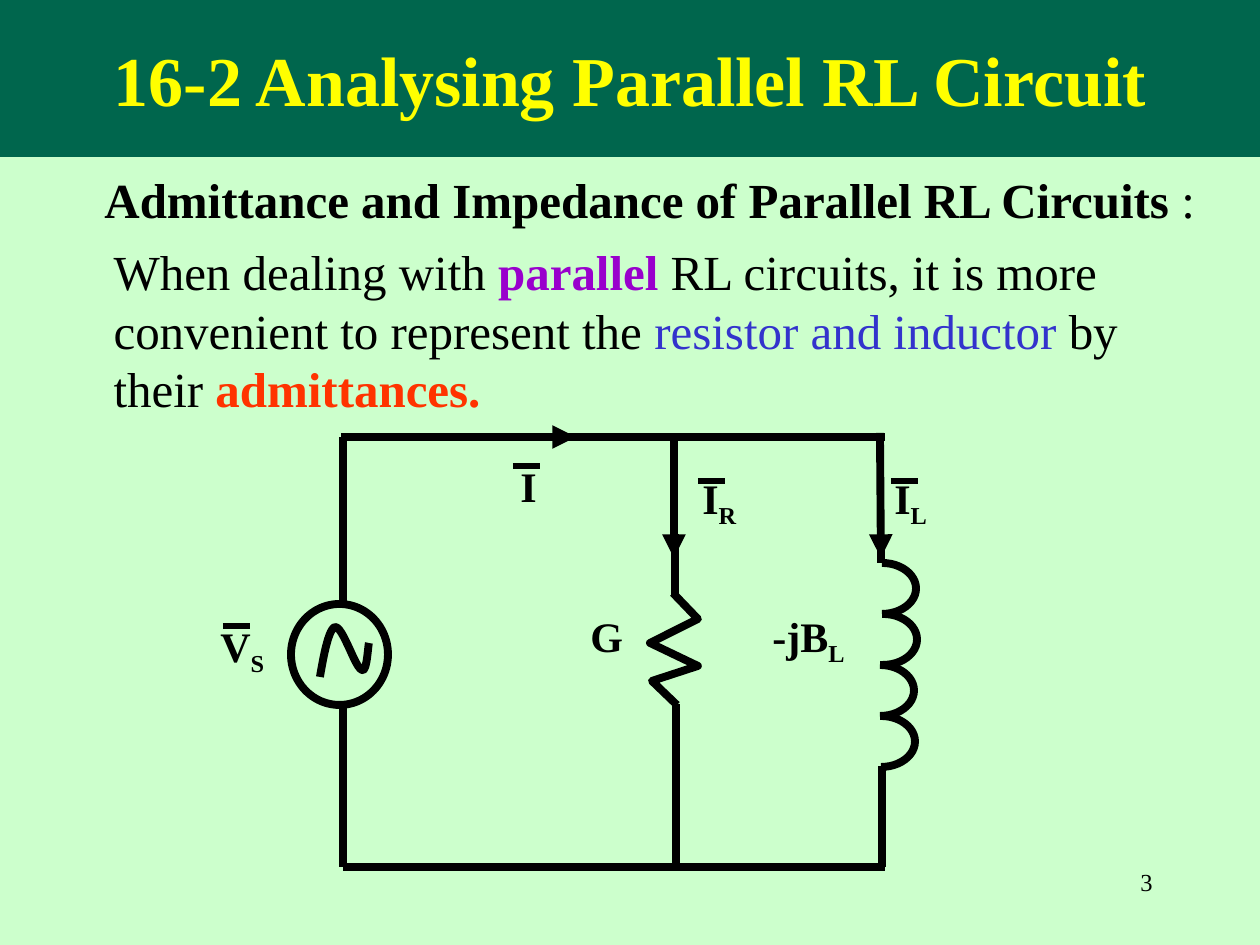
from lxml import etree
from pptx import Presentation
from pptx import util as u
from pptx.dml.color import RGBColor
from pptx.enum import shapes, text
from pptx.oxml.ns import qn

SCALE = u.Inches(1) / 126  # EMU per px
BLACK = RGBColor(0x00, 0x00, 0x00)
GREEN = RGBColor(0x00, 0x66, 0x4D)
MINT = RGBColor(0xCC, 0xFF, 0xCC)
YELLOW = RGBColor(0xFF, 0xFF, 0x00)
PURPLE = RGBColor(0x99, 0x00, 0xCC)
BLUE = RGBColor(0x33, 0x33, 0xCC)
RED = RGBColor(0xFF, 0x33, 0x00)


def px(*lengths):
    return [u.Emu(round(length * SCALE)) for length in lengths]


def add_run(paragraph, words, size, color=BLACK, bold=False):
    run = paragraph.add_run()
    run.text = words
    run.font.name = "Times New Roman"
    run.font.size = u.Pt(size)
    run.font.bold = bold
    run.font.color.rgb = color
    return run


presentation = Presentation()
presentation.slide_width, presentation.slide_height = px(1260, 945)
slide = presentation.slides.add_slide(presentation.slide_layouts[1])
slide.background.fill.solid()
slide.background.fill.fore_color.rgb = MINT

# Title band
title = slide.shapes.title
title.left, title.top, title.width, title.height = px(0, 0, 1260, 157)
title.fill.solid()
title.fill.fore_color.rgb = GREEN
title.text_frame.vertical_anchor = text.MSO_ANCHOR.MIDDLE
paragraph = title.text_frame.paragraphs[0]
paragraph.alignment = text.PP_ALIGN.CENTER
add_run(paragraph, "16-2 Analysing Parallel RL Circuit", 40, YELLOW, True)

# Body text
body = slide.placeholders[1]
body.left, body.top, body.width, body.height = px(101, 235, 1118, 190)
body.text_frame.auto_size = text.MSO_AUTO_SIZE.NONE
paragraph = body.text_frame.paragraphs[0]
properties = paragraph._p.get_or_add_pPr()
properties.set("marL", "0")
properties.set("indent", "0")
etree.SubElement(properties, qn("a:buNone"))
paragraph.space_before = u.Pt(0)
for words, color, bold in [
    ("When dealing with ", BLACK, False),
    ("parallel", PURPLE, True),
    (" RL circuits, it is more convenient to represent the ", BLACK, False),
    ("resistor and inductor", BLUE, False),
    (" by their ", BLACK, False),
    ("admittances.", RED, True),
]:
    add_run(paragraph, words, 28, color, bold)

# Subheading
subheading = slide.shapes.add_textbox(*px(92, 163, 1128, 72))
subheading.text_frame.word_wrap = False
subheading.text_frame.vertical_anchor = text.MSO_ANCHOR.MIDDLE
paragraph = subheading.text_frame.paragraphs[0]
add_run(paragraph, "Admittance and Impedance of Parallel RL Circuits ", 28, bold=True)
add_run(paragraph, ":", 28)

# Wires, arrows and the bars over the phasors: start, end, width, arrowhead
WIRE, BAR = 4.5, 3
bars = [(223, 626), (513, 466), (698, 481), (891, 481)]
lines = [
    (343, 604, 343, 437, WIRE, False),
    (343, 704, 343, 867, WIRE, False),
    (341, 437, 576, 437, WIRE, True),
    (548, 437, 885, 437, WIRE, False),
    (343, 867, 885, 867, WIRE, False),
    (674, 437, 674, 558, WIRE, True),
    (675, 534, 675, 596, WIRE, False),
    (676, 704, 676, 867, WIRE, False),
    (880, 433, 881, 558, WIRE, True),
    (881, 537, 881, 563, WIRE, False),
    (882, 766, 882, 867, WIRE, False),
] + [(x, y, x + 27, y, BAR, False) for x, y in bars]
for x1, y1, x2, y2, width, arrow in lines:
    line = slide.shapes.add_connector(shapes.MSO_CONNECTOR.STRAIGHT, *px(x1, y1, x2, y2))
    line.line.color.rgb = BLACK
    line.line.width = u.Pt(width)
    if arrow:
        etree.SubElement(line.line._get_or_add_ln(), qn("a:tailEnd"), type="triangle")
    etree.SubElement(line._element.spPr, qn("a:effectLst"))

# Voltage source circle
symbols = [slide.shapes.add_shape(shapes.MSO_SHAPE.OVAL, *px(291, 604, 97, 101))]

# Inductor: four half turns, one under the other
for turn, x in enumerate([882, 883, 880, 881]):
    arc = slide.shapes.add_shape(shapes.MSO_SHAPE.ARC, *px(x - 34, 563 + 51 * turn, 68, 51))
    arc.adjustments[0] = 162  # from the top
    arc.adjustments[1] = 54  # to the bottom
    symbols.append(arc)

# Sine sign, sampled from three Bezier curves, and resistor zigzag
curves = [
    [(320, 677), (324, 653), (329, 629), (335, 627)],
    [(335, 627), (343, 626), (355, 668), (362, 670)],
    [(362, 670), (367, 673), (368, 646), (369, 643)],
]
sine = []
for a, b, c, d in curves:
    for step in range(13):
        t = step / 12
        weights = [(1 - t) ** 3, 3 * t * (1 - t) ** 2, 3 * t * t * (1 - t), t ** 3]
        sine.append([sum(w * p[i] for w, p in zip(weights, (a, b, c, d))) for i in (0, 1)])
zigzag = [(673, 593), (698, 619), (650, 643), (698, 666), (652, 681), (677, 705)]
for points in (sine, zigzag):
    builder = slide.shapes.build_freeform(*px(*points[0]), scale=1.0)
    builder.add_line_segments([px(*point) for point in points[1:]], close=False)
    symbols.append(builder.convert_to_shape())

for shape in symbols:
    shape.shadow.inherit = False
    shape.fill.background()
    shape.line.color.rgb = BLACK
    shape.line.width = u.Pt(WIRE)

# Circuit labels with subscripts
for x, y, width, symbol, subscript in [
    (760, 604, 122, "-jB", "L"),
    (578, 604, 74, "G", ""),
    (690, 466, 71, "I", "R"),
    (882, 466, 71, "I", "L"),
    (508, 454, 71, "I", ""),
    (208, 614, 93, "V", "S"),
]:
    label = slide.shapes.add_textbox(*px(x, y, width, 63))
    label.text_frame.word_wrap = True
    paragraph = label.text_frame.paragraphs[0]
    add_run(paragraph, symbol, 24, bold=True)
    if subscript:
        run = add_run(paragraph, subscript, 24, bold=True)
        run.font._element.set("baseline", "-25000")

# Slide number
number = slide.shapes.add_textbox(*px(903, 861, 262, 63))
number.text_frame.word_wrap = True
paragraph = number.text_frame.paragraphs[0]
paragraph.alignment = text.PP_ALIGN.RIGHT
add_run(paragraph, "3", 14)

presentation.save("out.pptx")
